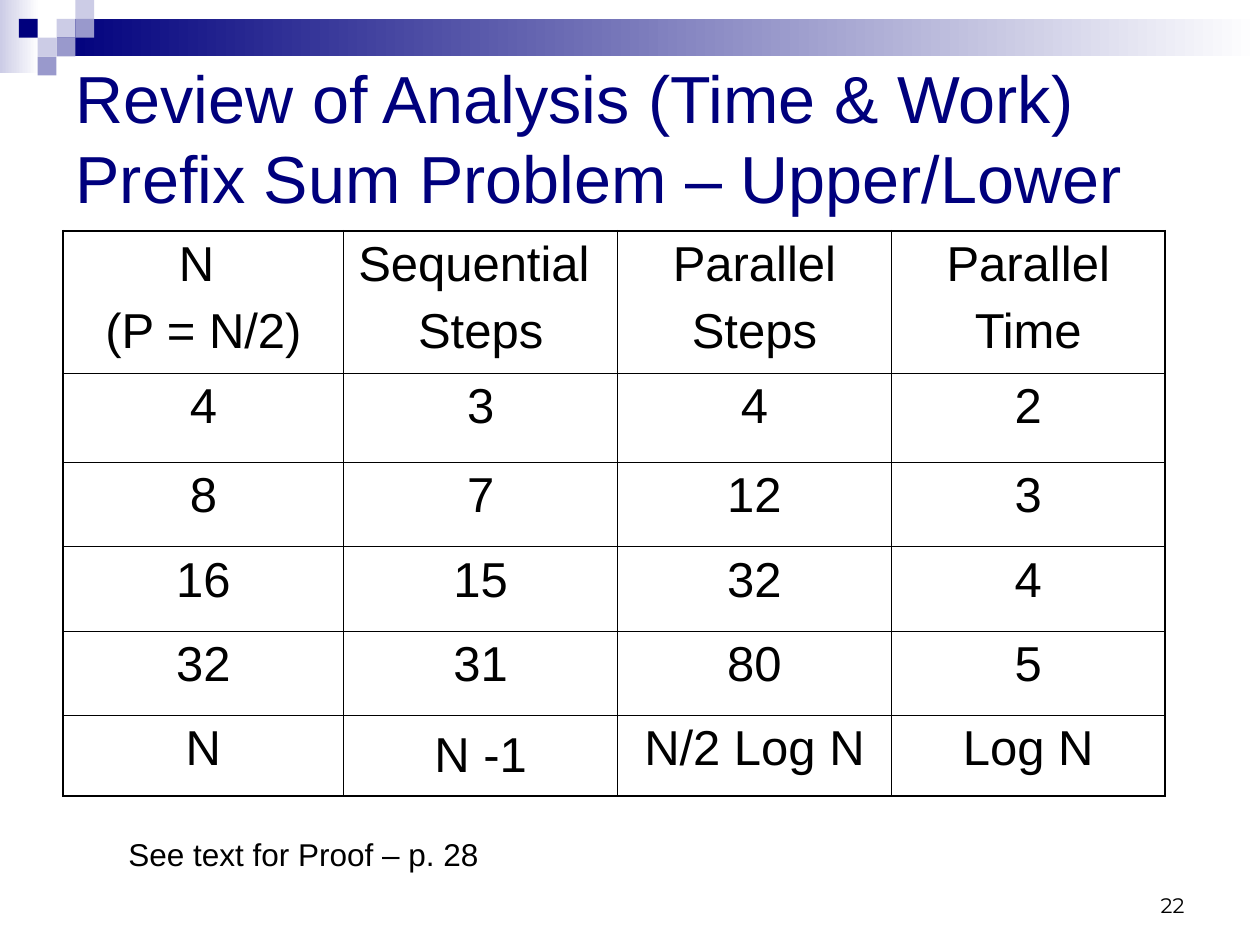
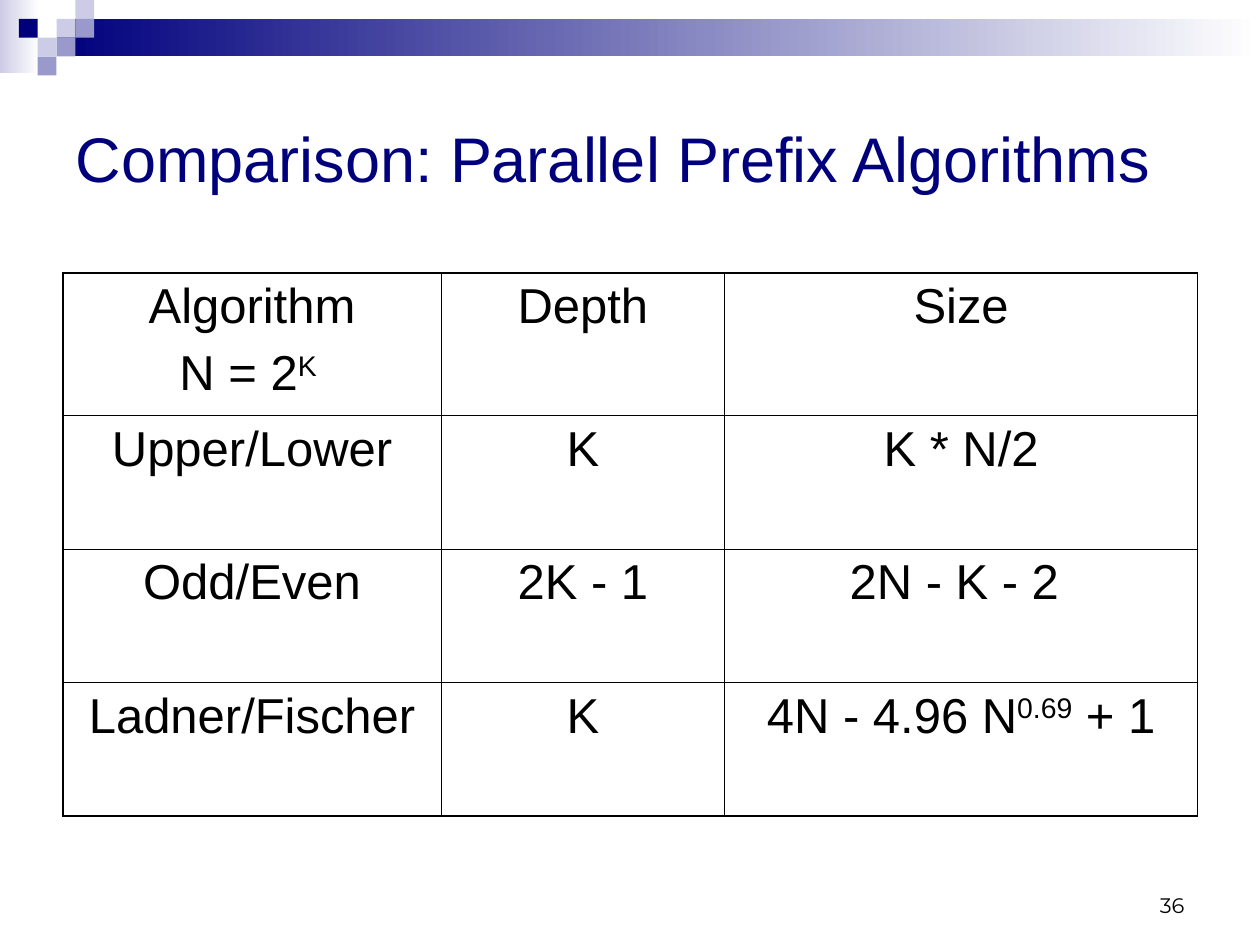
from lxml.etree import SubElement
from pptx import Presentation
from pptx.dml.color import RGBColor
from pptx.enum.shapes import MSO_SHAPE as Shape
from pptx.enum.text import MSO_ANCHOR as Anchor, MSO_AUTO_SIZE as AutoSize, PP_ALIGN as Align
from pptx.oxml.ns import qn
from pptx.util import Cm, Pt

# Shared look
NAVY = RGBColor(0x00, 0x00, 0x7D)
LAVENDER = RGBColor(0xCC, 0xCC, 0xE6)
VIOLET = RGBColor(0x99, 0x99, 0xCC)
WHITE = RGBColor(0xFF, 0xFF, 0xFF)
BLACK = RGBColor(0x00, 0x00, 0x00)
BODY_FONT, NUMBER_FONT = "Arial", "Montserrat"
MARGIN = 1.27
INNER_LINE, OUTER_LINE = Pt(0.45), Pt(1.08)

# Corner decoration: fading bands (left, top, width, height, colour), squares (column, row, colour)
BANDS = [(0, 0, 0.79, 1.47, LAVENDER), (1.14, 0.38, 24.26, 0.76, NAVY)]
SQUARE = 0.38
SQUARES = [(3, 1, LAVENDER), (4, 0, LAVENDER), (4, 1, VIOLET), (2, 2, LAVENDER),
           (1, 1, NAVY), (3, 2, VIOLET), (2, 3, VIOLET)]

# Slide content: "\n" starts a paragraph in a cell, text between ^ marks is raised
SLIDES = [
    {
        "title": ["Review of Analysis (Time & Work)", "Prefix Sum Problem – Upper/Lower"],
        "title_size": 38,
        "title_height": 2.97,
        "table_top": 4.65,
        "widths": [5.66, 5.52, 5.52, 5.52],
        "heights": [2.87, 1.8, 1.7, 1.7, 1.7, 1.63],
        "rows": [
            ["N \n(P = N/2)", "Sequential \nSteps", "Parallel\nSteps", "Parallel\nTime"],
            ["4", "3", "4", "2"],
            ["8", "7", "12", "3"],
            ["16", "15", "32", "4"],
            ["32", "31", "80", "5"],
            ["N", "N -1", "N/2 Log N", "Log N"],
        ],
        "centred_cells": [(5, 1)],
        "note": "See text for Proof – p. 28",
        "number": "22",
    },
    {
        "title": ["Comparison: Parallel Prefix Algorithms"],
        "title_size": 36,
        "title_height": 3.81,
        "table_top": 5.51,
        "widths": [7.62, 5.72, 9.53],
        "heights": [2.87, 2.69, 2.69, 2.69],
        "rows": [
            ["Algorithm\nN = 2^K ^", "Depth", "Size"],
            ["Upper/Lower", "K", "K * N/2"],
            ["Odd/Even", "2K - 1", "2N - K - 2 "],
            ["Ladner/Fischer", "K", "4N - 4.96 N^0.69^ + 1"],
        ],
        "number": "36",
    },
]


def add_span(para, text, size, colour=BLACK, font=BODY_FONT):
    span = para.add_run()
    span.text = text
    span.font.size, span.font.name = Pt(size), font
    span.font.color.rgb = colour
    return span


def add_block(page, left, top, width, height):
    block = page.shapes.add_shape(Shape.RECTANGLE, Cm(left), Cm(top), Cm(width), Cm(height))
    block.shadow.inherit = False
    block.line.fill.background()
    return block


def add_decoration(page):
    for *place, colour in BANDS:
        fill = add_block(page, *place).fill
        fill.gradient()
        fill.gradient_angle = 180
        for stop, shade in zip(fill.gradient_stops, (WHITE, colour)):
            stop.color.rgb = shade
    for column, row, colour in SQUARES:
        fill = add_block(page, column * SQUARE, row * SQUARE, SQUARE, SQUARE).fill
        fill.solid()
        fill.fore_color.rgb = colour


def set_title(page, lines, size, height):
    title = page.shapes.title
    title.left, title.top, title.width, title.height = (
        Cm(MARGIN), Cm(MARGIN), Cm(22.86), Cm(height))
    frame = title.text_frame
    frame.auto_size, frame.vertical_anchor = AutoSize.NONE, Anchor.MIDDLE
    para = frame.paragraphs[0]
    para.alignment = Align.LEFT
    for index, line in enumerate(lines):
        if index:
            para.add_line_break()
        add_span(para, line, size, NAVY)


def add_text(page, place, text, size, font=BODY_FONT, align=Align.LEFT, anchor=Anchor.TOP):
    box = page.shapes.add_textbox(*map(Cm, place))
    frame = box.text_frame
    frame.word_wrap, frame.vertical_anchor = True, anchor
    para = frame.paragraphs[0]
    para.alignment = align
    add_span(para, text, size, font=font)


def set_borders(cell, outer_sides):
    properties = cell._tc.get_or_add_tcPr()
    for side in "LRTB":
        width = OUTER_LINE if side in outer_sides else INNER_LINE
        line = SubElement(properties, qn(f"a:ln{side}"), w=str(int(width)))
        SubElement(SubElement(line, qn("a:solidFill")), qn("a:srgbClr"), val=str(BLACK))
    cell.fill.background()


def fill_cell(cell, text):
    for index, line in enumerate(text.split("\n")):
        para = cell.text_frame.add_paragraph() if index else cell.text_frame.paragraphs[0]
        para.alignment = Align.CENTER
        if index:
            para.space_before = Pt(7)
        for part, piece in enumerate(line.split("^")):
            if piece:
                span = add_span(para, piece, 28)
                if part % 2:
                    span._r.get_or_add_rPr().set("baseline", "30000")


def add_grid(page, rows, top, widths, heights, centred_cells=()):
    table = page.shapes.add_table(len(rows), len(widths), Cm(MARGIN), Cm(top),
                                  Cm(sum(widths)), Cm(sum(heights))).table
    table.first_row = table.horz_banding = False
    for column, width in zip(table.columns, widths):
        column.width = Cm(width)
    for row, height in zip(table.rows, heights):
        row.height = Cm(height)
    for r, row in enumerate(rows):
        for c, text in enumerate(row):
            cell = table.cell(r, c)
            fill_cell(cell, text)
            edges = {"L": c == 0, "R": c == len(row) - 1, "T": r == 0, "B": r == len(rows) - 1}
            set_borders(cell, [side for side, is_outer in edges.items() if is_outer])
            cell.vertical_anchor = Anchor.MIDDLE if (r, c) in centred_cells else Anchor.TOP


def main():
    deck = Presentation()
    deck.slide_width, deck.slide_height = Cm(25.4), Cm(19.05)
    for content in SLIDES:
        page = deck.slides.add_slide(deck.slide_layouts[5])
        add_decoration(page)
        set_title(page, content["title"], content["title_size"], content["title_height"])
        add_grid(page, content["rows"], content["table_top"], content["widths"],
                 content["heights"], content.get("centred_cells", ()))
        if "note" in content:
            add_text(page, (2.34, 16.71, 7.62, 1.02), content["note"], 18)
        add_text(page, (18.2, 17.35, 5.93, 1.27), content["number"], 12,
                 NUMBER_FONT, Align.RIGHT, Anchor.BOTTOM)
    deck.save("out.pptx")


if __name__ == "__main__":
    main()
